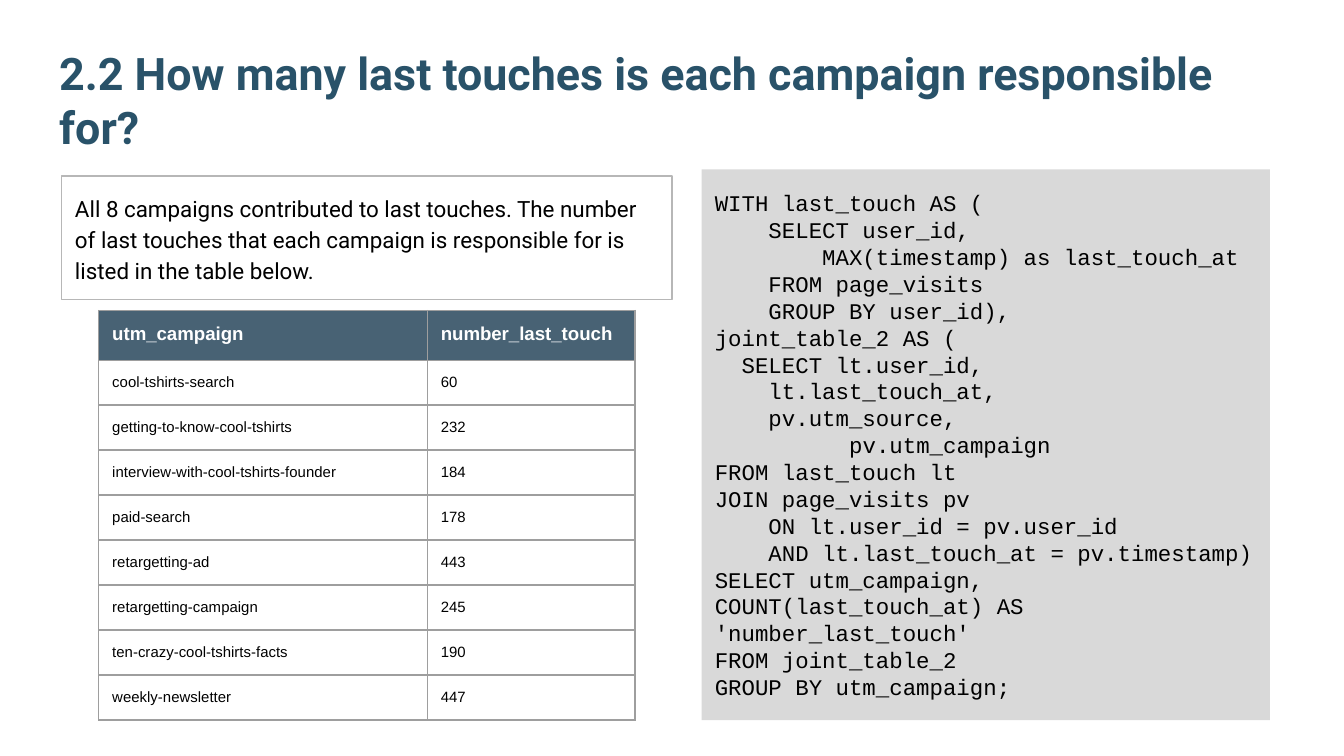
from lxml import etree
from pptx import Presentation
from pptx.dml.color import RGBColor
from pptx.enum import shapes, text
from pptx.oxml.ns import qn
from pptx.util import Pt

PX = 4572  # 200 px to the inch
INSET = 20
COLORS = {
    "title": "295269", "ink": "000000", "white": "FFFFFF", "code": "D9D9D9",
    "outline": "B7B7B7", "header": "204056", "grid": "9E9E9E",
}

TITLE = "2.2 How many last touches is each campaign responsible for?"
SUMMARY = (
    "All 8 campaigns contributed to last touches. The number of last touches "
    "that each campaign is responsible for is listed in the table below."
)
QUERY = """WITH last_touch AS (
    SELECT user_id,
        MAX(timestamp) as last_touch_at
    FROM page_visits
    GROUP BY user_id),
joint_table_2 AS (
  SELECT lt.user_id,
    lt.last_touch_at,
    pv.utm_source,
\t\tpv.utm_campaign
FROM last_touch lt
JOIN page_visits pv
    ON lt.user_id = pv.user_id
    AND lt.last_touch_at = pv.timestamp)
SELECT utm_campaign, COUNT(last_touch_at) AS 'number_last_touch'
FROM joint_table_2
GROUP BY utm_campaign;"""
ROWS = [
    ("utm_campaign", "number_last_touch"),
    ("cool-tshirts-search", "60"),
    ("getting-to-know-cool-tshirts", "232"),
    ("interview-with-cool-tshirts-founder", "184"),
    ("paid-search", "178"),
    ("retargetting-ad", "443"),
    ("retargetting-campaign", "245"),
    ("ten-crazy-cool-tshirts-facts", "190"),
    ("weekly-newsletter", "447"),
]


def color(name):
    return RGBColor.from_string(COLORS[name])


def emu(*lengths):
    return [length * PX for length in lengths]


def set_margins(holder):
    for side in ("left", "top", "right", "bottom"):
        setattr(holder, f"margin_{side}", INSET * PX)


def style(para, size, face, ink, bold=False):
    para.alignment = text.PP_ALIGN.LEFT
    font = para.font
    font.size, font.name, font.bold = Pt(size), face, bold
    font.color.rgb = color(ink)


def fill_frame(frame, lines, anchor, *font, spacing=1.0):
    set_margins(frame)
    frame.word_wrap = True
    frame.auto_size = text.MSO_AUTO_SIZE.NONE
    frame.vertical_anchor = anchor
    for index, line in enumerate(lines):
        para = frame.paragraphs[0] if index == 0 else frame.add_paragraph()
        para.text = line
        para.line_spacing = spacing
        style(para, *font)


def add_title(page, box):
    title = page.shapes.title
    title.left, title.top, title.width, title.height = emu(*box)
    fill_frame(title.text_frame, [TITLE], text.MSO_ANCHOR.BOTTOM,
               24, "Roboto", "title", True)


def add_panel(page, box, lines, face, fill=None, line=None, spacing=1.0):
    panel = page.shapes.add_shape(shapes.MSO_SHAPE.RECTANGLE, *emu(*box))
    panel.shadow.inherit = False
    if fill:
        panel.fill.solid()
        panel.fill.fore_color.rgb = color(fill)
    else:
        panel.fill.background()
    if line:
        panel.line.color.rgb = color(line)
        panel.line.width = Pt(0.75)
    else:
        panel.line.fill.background()
    fill_frame(panel.text_frame, lines, text.MSO_ANCHOR.MIDDLE,
               12, face, "ink", spacing=spacing)


def add_borders(cell):
    props = cell._tc.get_or_add_tcPr()
    for side in ("lnL", "lnR", "lnT", "lnB"):
        line = etree.SubElement(props, qn(f"a:{side}"), w=str(Pt(0.75)))
        solid = etree.SubElement(line, qn("a:solidFill"))
        etree.SubElement(solid, qn("a:srgbClr"), val=COLORS["grid"])


def fill_header(cell):
    cell.fill.solid()
    cell.fill.fore_color.rgb = color("header")
    tint = cell._tc.tcPr.find(f"{qn('a:solidFill')}/{qn('a:srgbClr')}")
    etree.SubElement(tint, qn("a:alpha"), val="82000")


def add_campaign_table(page, box, first_width, header_height):
    left, top, width, height = box
    table = page.shapes.add_table(len(ROWS), 2, *emu(*box)).table
    table.horz_banding = False
    table.columns[0].width, table.columns[1].width = emu(first_width, width - first_width)
    row_height = (height - header_height) // (len(ROWS) - 1)
    for r, values in enumerate(ROWS):
        is_header = r == 0
        table.rows[r].height = (header_height if is_header else row_height) * PX
        for c, value in enumerate(values):
            cell = table.cell(r, c)
            cell.text = value
            set_margins(cell)
            cell.vertical_anchor = text.MSO_ANCHOR.TOP
            add_borders(cell)
            para = cell.text_frame.paragraphs[0]
            if is_header:
                fill_header(cell)
                style(para, 10, "Arial", "white", True)
            else:
                cell.fill.background()
                style(para, 8, "Arial", "ink")


def main():
    deck = Presentation()
    deck.slide_width, deck.slide_height = emu(2000, 1125)
    page = deck.slides.add_slide(deck.slide_layouts[5])

    add_title(page, (68, 64, 1864, 184))
    # Query on the right
    add_panel(page, (1044, 252, 846, 820), QUERY.split("\n"), "Courier New", fill="code")
    # Summary and results on the left
    add_panel(page, (92, 262, 908, 184), [SUMMARY], "Roboto",
              line="outline", spacing=1.15)
    add_campaign_table(page, (147, 462, 798, 610), 489, 74)

    deck.save("out.pptx")


if __name__ == "__main__":
    main()
